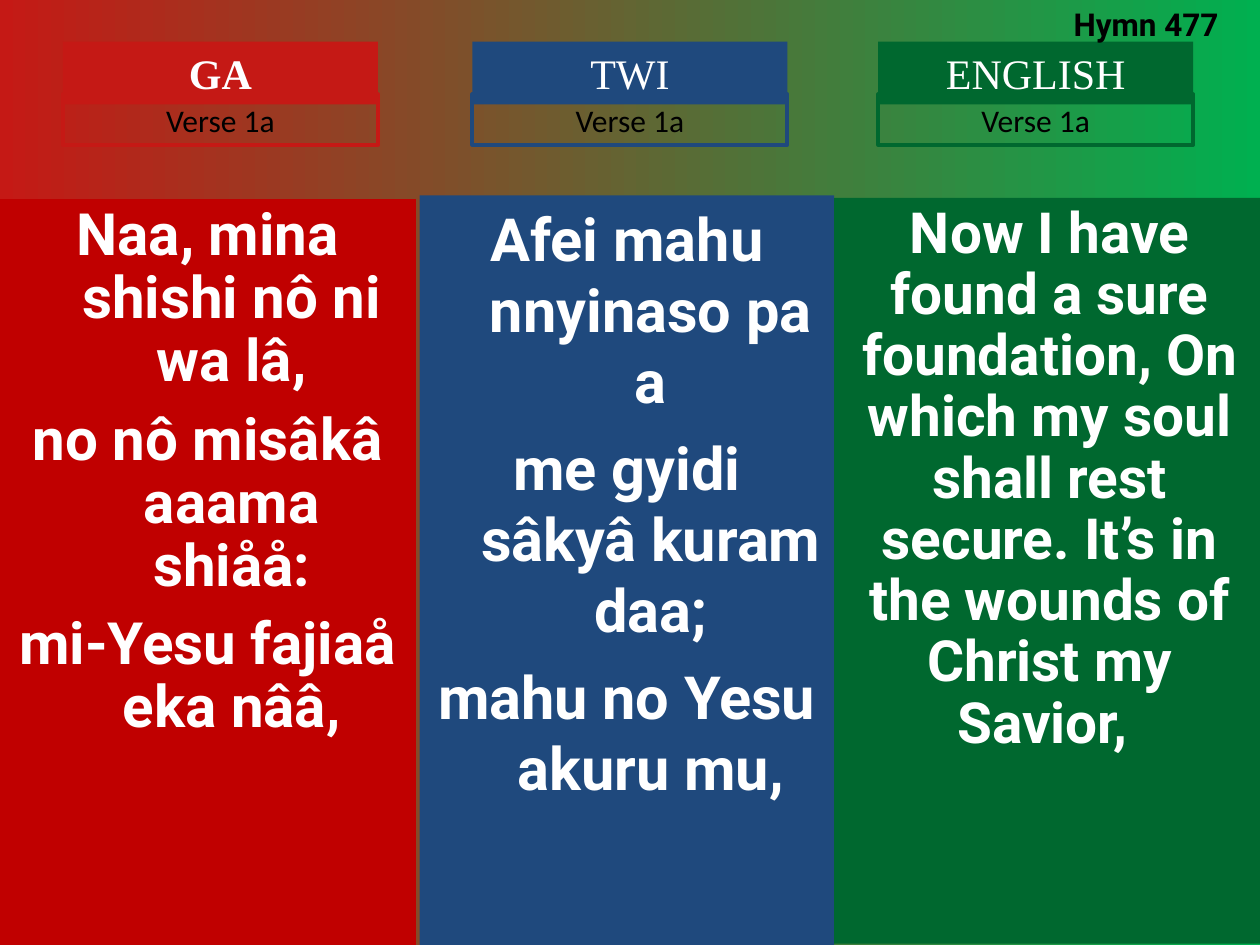
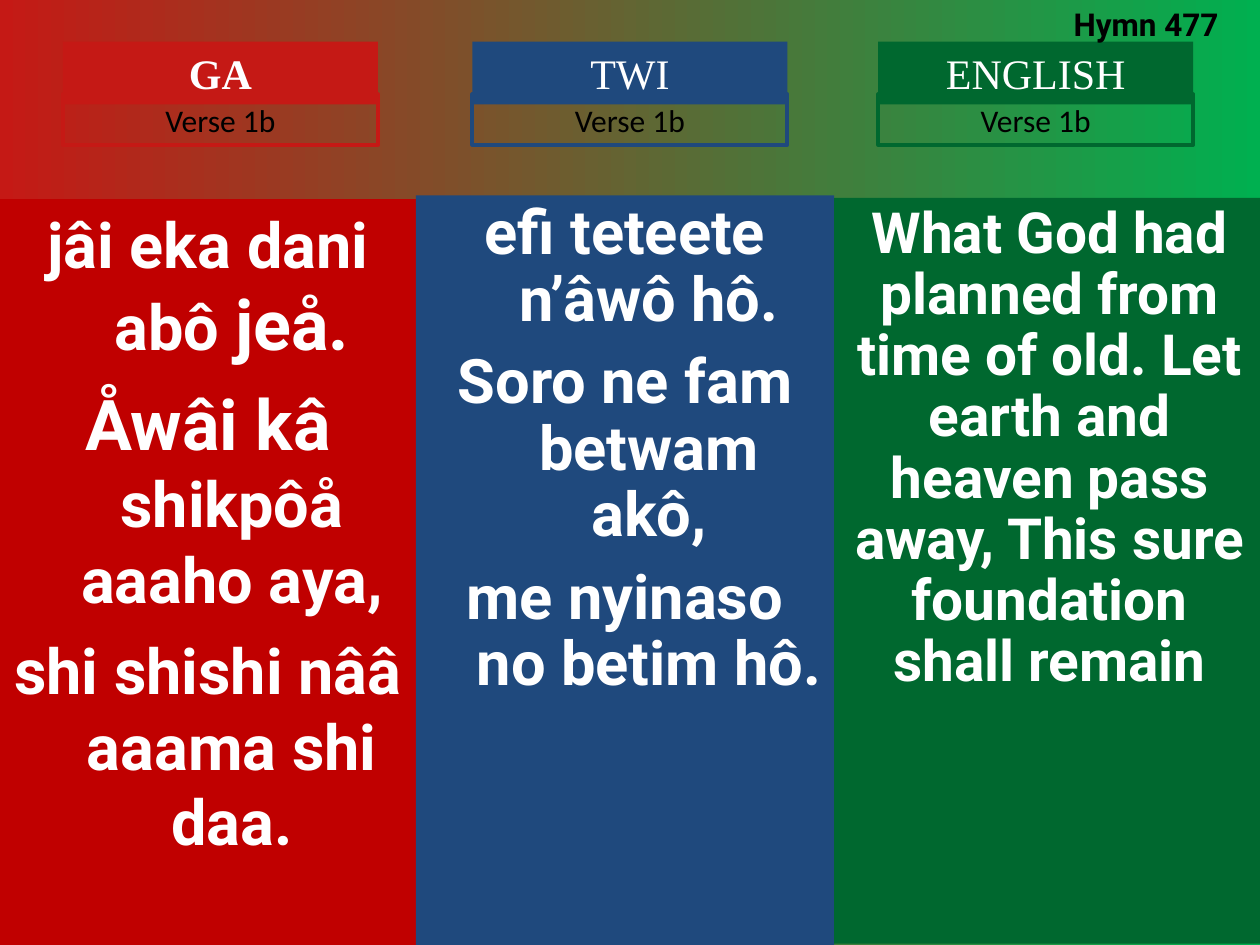
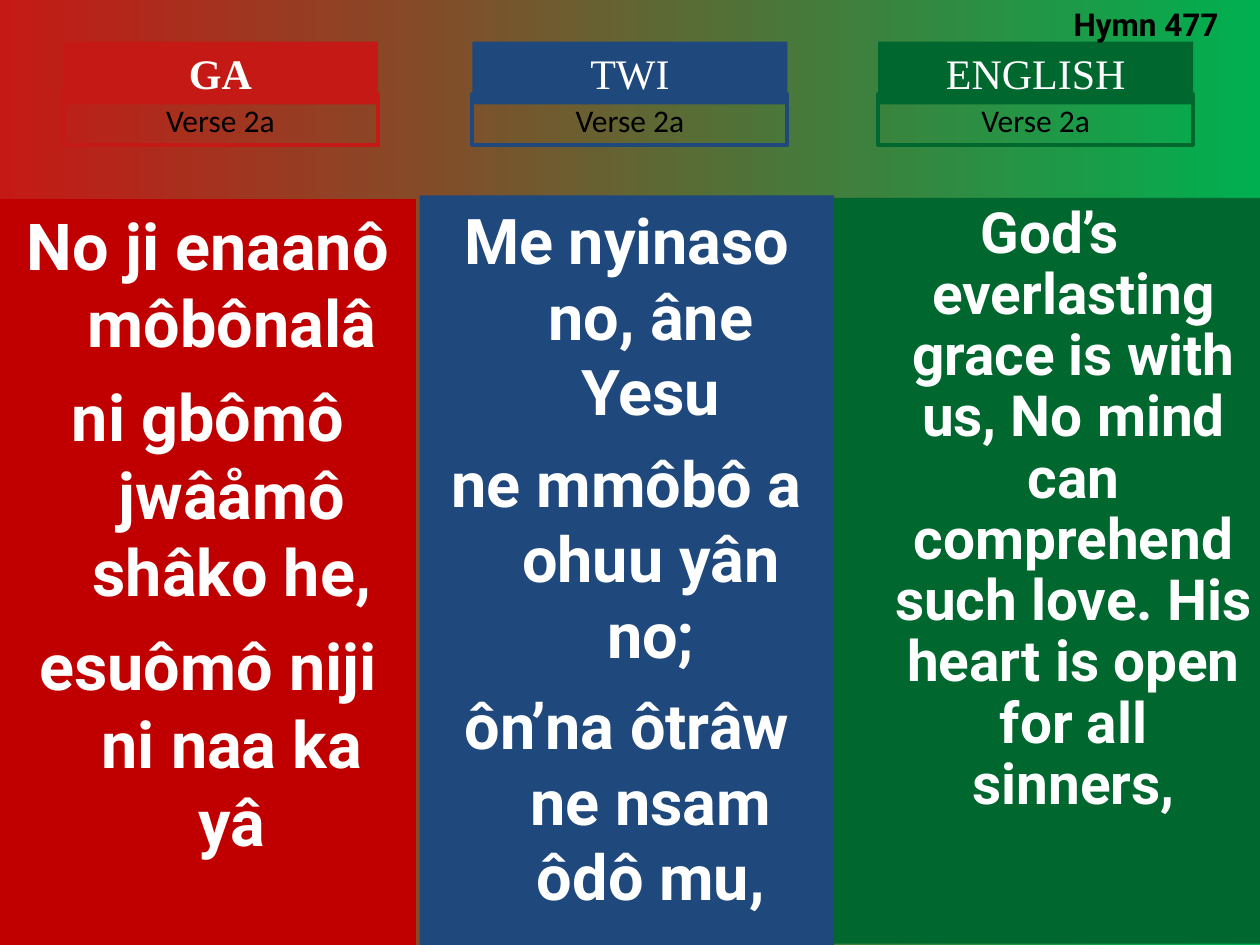
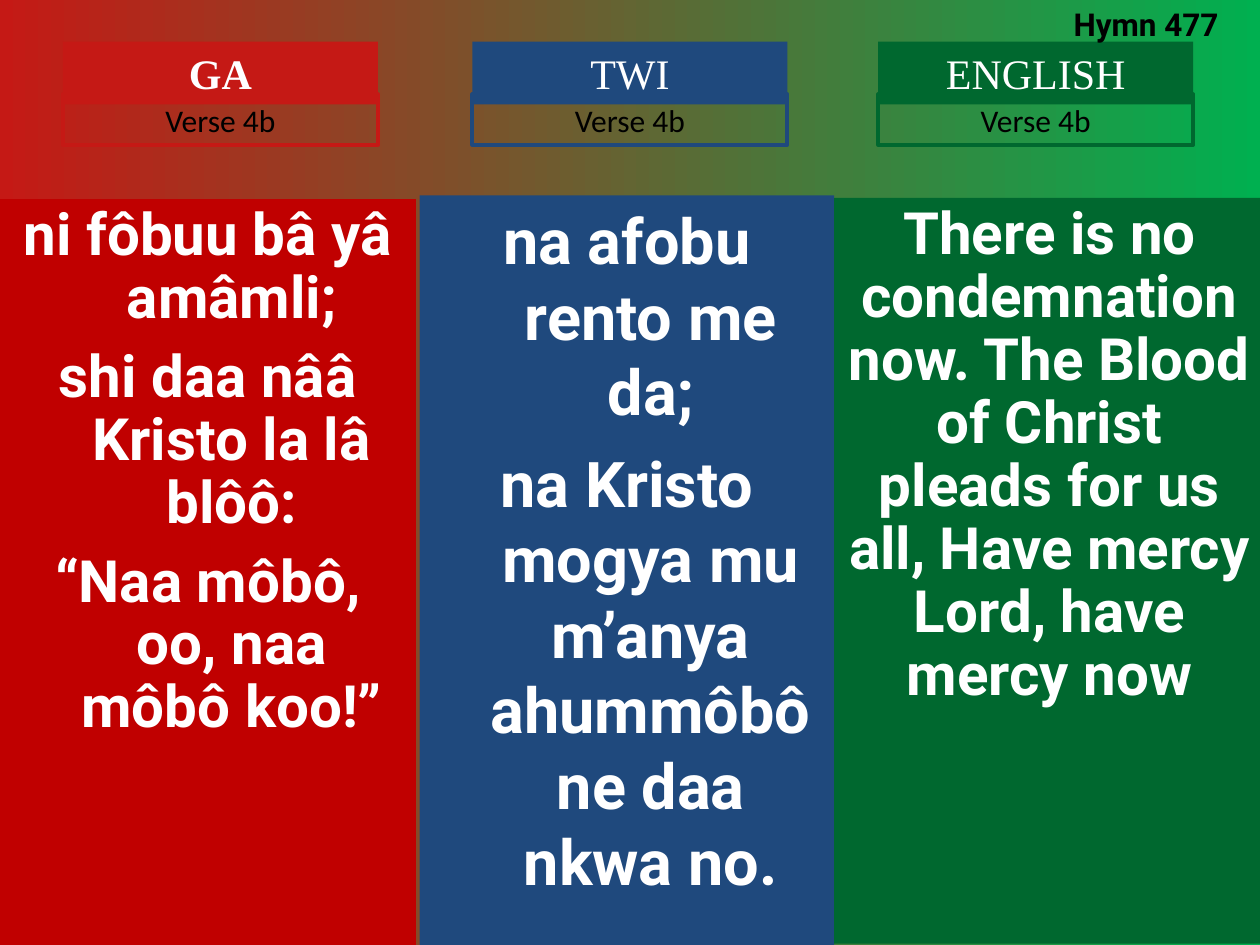
from dataclasses import dataclass

from pptx import Presentation, util as u
from pptx.dml.color import RGBColor
from pptx.enum import shapes, text
from pptx.oxml.xmlchemy import OxmlElement

COLS, ROWS = 100, 75
WIDTH, HEIGHT = u.Inches(10), u.Inches(7.5)


@dataclass(frozen=True)
class Theme:
    red: str = "C51915"
    deep_red: str = "C00000"
    blue: str = "1F497D"
    green: str = "00682F"
    bright_green: str = "00B050"
    white: str = "FFFFFF"
    black: str = "000000"
    lyric_font: str = "Roboto"
    heading_font: str = "Times New Roman"
    verse_font: str = "Calibri"
    heading_size: float = 24
    label_size: float = 18
    border: float = 2.25
    hang: float = 0.38


T = Theme()


@dataclass(frozen=True)
class Box:
    x: float
    y: float
    w: float
    h: float

    def inner(self, y, h):
        return Box(self.x, self.y + y, self.w, h)

    def place(self, sp):
        sp.left, sp.width = (int(WIDTH * v / COLS) for v in (self.x, self.w))
        sp.top, sp.height = (int(HEIGHT * v / ROWS) for v in (self.y, self.h))


@dataclass(frozen=True)
class Language:
    name: str
    tint: str
    column_fill: str
    column: Box
    heading: Box
    placeholder: int = 0
    bold: bool = False


@dataclass(frozen=True)
class Lyric:
    size: float
    lines: list
    before: float = 9
    spacing: float = 1
    hanging: bool = True
    left: float = None


HYMN = "Hymn 477"
HYMN_BOX = Box(84.2, -0.1, 15, 4)
LANGUAGES = [
    Language("GA", T.red, T.deep_red, Box(0, 15.8, 33, 59.2),
             Box(5, 3.3, 25, 8.2), placeholder=1, bold=True),
    Language("TWI", T.blue, T.blue, Box(33.3, 15.5, 32.9, 59.5),
             Box(37.5, 3.3, 25, 8.2), placeholder=2),
    Language("ENGLISH", T.green, T.green, Box(66.2, 15.7, 34.2, 59.2),
             Box(69.7, 3.3, 25, 8.2)),
]

VERSES = [
    ("Verse 1a", [
        Lyric(33.3, ["Naa, mina shishi nô ni wa lâ,", "no nô misâkâ aaama shiåå:",
                     "mi-Yesu fajiaå eka nââ,"], spacing=0.9),
        Lyric(34, ["Afei mahu nnyinaso pa a", "me gyidi sâkyâ kuram daa;",
                   "mahu no Yesu akuru mu,"], before=8.5),
        Lyric(32.4, ["Now I have found a sure foundation, On which my soul shall rest "
                     "secure. It’s in the wounds of Christ my Savior, "],
              spacing=0.9, hanging=False),
    ]),
    ("Verse 1b", [
        Lyric(36, [["jâi eka dani abô ", ("jeå.", 40)],
                   [("Åwâi kâ ", 40), "shikpôå aaaho aya,"],
                   "shi shishi nââ aaama shi daa."]),
        Lyric(35.1, ["efi teteete n’âwô hô.", "Soro ne fam betwam akô,",
                     "me nyinaso no betim hô."], before=9.5, spacing=0.9, left=33),
        Lyric(32.4, ["What God had planned from time of old. Let earth and heaven pass "
                     "away, This sure foundation shall remain"],
              spacing=0.9, hanging=False),
    ]),
    ("Verse 2a", [
        Lyric(37, ["No ji enaanô môbônalâ", "ni gbômô jwâåmô shâko he,",
                   "esuômô niji ni naa ka yâ"], before=9.2),
        Lyric(36, ["Me nyinaso no, âne Yesu", "ne mmôbô a ohuu yân no;",
                   "ôn’na ôtrâw ne nsam ôdô mu,"]),
        Lyric(32.4, ["God’s everlasting grace is with us, No mind can comprehend such "
                     "love. His heart is open for all sinners,"], spacing=0.9),
    ]),
    ("Verse 4b", [
        Lyric(33.3, ["ni fôbuu bâ yâ amâmli;", "shi daa nââ Kristo la lâ blôô:",
                     "“Naa môbô, oo, naa môbô koo!”"], spacing=0.9),
        Lyric(36, ["na afobu rento me da;",
                   "na Kristo mogya mu m’anya ahummôbô ne daa nkwa no."]),
        Lyric(33.3, ["There is no condemnation now. The Blood of Christ pleads for us "
                     "all, Have mercy Lord, have mercy now"],
              spacing=0.9, hanging=False),
    ]),
]


def add_run(p, words, font, size, color, bold=False):
    r = p.add_run()
    r.text = words
    r.font.name, r.font.size, r.font.bold = font, u.Pt(size), bold
    r.font.color.rgb = RGBColor.from_string(color)


def set_frame(sp, fit=text.MSO_AUTO_SIZE.NONE):
    tf = sp.text_frame
    tf.word_wrap = True
    tf.auto_size = fit
    tf.vertical_anchor = text.MSO_ANCHOR.TOP
    tf.margin_left = tf.margin_right = u.Inches(0.1)
    tf.margin_top = tf.margin_bottom = u.Inches(0.05)
    return tf


def fill_solid(sp, color):
    sp.fill.solid()
    sp.fill.fore_color.rgb = RGBColor.from_string(color)
    sp.line.fill.background()


def add_rect(s, box):
    sp = s.shapes.add_shape(shapes.MSO_SHAPE.RECTANGLE, 0, 0, 0, 0)
    sp.shadow.inherit = False
    box.place(sp)
    return sp


def add_label(s, box, words, font, size, color, bold=False):
    sp = add_rect(s, box)
    p = set_frame(sp, text.MSO_AUTO_SIZE.SHAPE_TO_FIT_TEXT).paragraphs[0]
    p.alignment = text.PP_ALIGN.CENTER
    add_run(p, words, font, size, color, bold)
    return sp


def add_heading(s, language, verse, box):
    sp = add_label(s, box.inner(0, 5), language.name, T.heading_font,
                   T.heading_size, T.white, language.bold)
    fill_solid(sp, language.tint)
    sp = add_label(s, box.inner(4.2, 4), verse, T.verse_font, T.label_size, T.black)
    sp.fill.background()
    sp.line.color.rgb = RGBColor.from_string(language.tint)
    sp.line.width = u.Pt(T.border)


def format_line(p, lyric, first):
    pPr = p._p.get_or_add_pPr()
    hang = u.Inches(T.hang) if lyric.hanging else 0
    pPr.set("marL", str(hang))
    pPr.set("indent", str(-hang))
    pPr.append(OxmlElement("a:buNone"))
    p.alignment = text.PP_ALIGN.CENTER
    p.line_spacing = lyric.spacing
    p.space_before = u.Pt(0 if first else lyric.before)


def add_lyrics(s, language, lyric, box):
    if lyric.left is not None:
        box = Box(lyric.left, box.y, box.x + box.w - lyric.left, box.h)
    if language.placeholder:
        sp = s.placeholders[language.placeholder]
        box.place(sp)
    else:
        sp = add_rect(s, box)
    fill_solid(sp, language.column_fill)
    tf = set_frame(sp)
    for i, line in enumerate(lyric.lines):
        p = tf.add_paragraph() if i else tf.paragraphs[0]
        format_line(p, lyric, i == 0)
        for part in [line] if isinstance(line, str) else line:
            words, size = (part, lyric.size) if isinstance(part, str) else part
            add_run(p, words, T.lyric_font, size, T.white, True)


def add_hymn_title(s, box):
    sp = s.shapes.title
    box.place(sp)
    p = set_frame(sp).paragraphs[0]
    p.alignment = text.PP_ALIGN.LEFT
    add_run(p, HYMN, T.lyric_font, T.label_size, T.black, True)
    sp._element.getparent().append(sp._element)


def add_verse_slide(prs, verse, lyrics):
    s = prs.slides.add_slide(prs.slide_layouts[3])
    for language, lyric in zip(LANGUAGES, lyrics):
        add_lyrics(s, language, lyric, language.column)
        add_heading(s, language, verse, language.heading)
    add_hymn_title(s, HYMN_BOX)


def set_background(prs):
    fill = prs.slide_master.background.fill
    fill.gradient()
    fill.gradient_angle = 0
    for stop, color in zip(fill.gradient_stops, (T.red, T.bright_green)):
        stop.color.rgb = RGBColor.from_string(color)


def main():
    prs = Presentation()
    prs.slide_width, prs.slide_height = WIDTH, HEIGHT
    set_background(prs)
    for verse, lyrics in VERSES:
        add_verse_slide(prs, verse, lyrics)
    prs.save("out.pptx")


if __name__ == "__main__":
    main()
